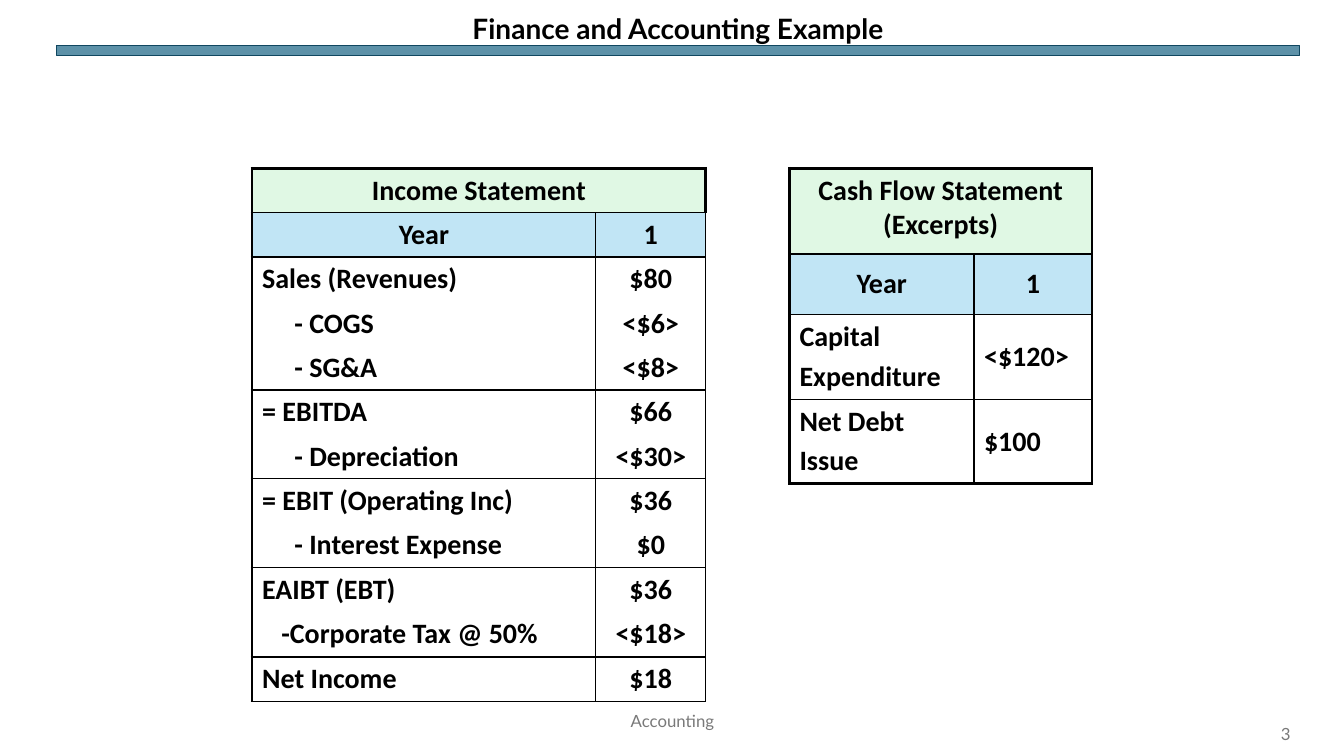
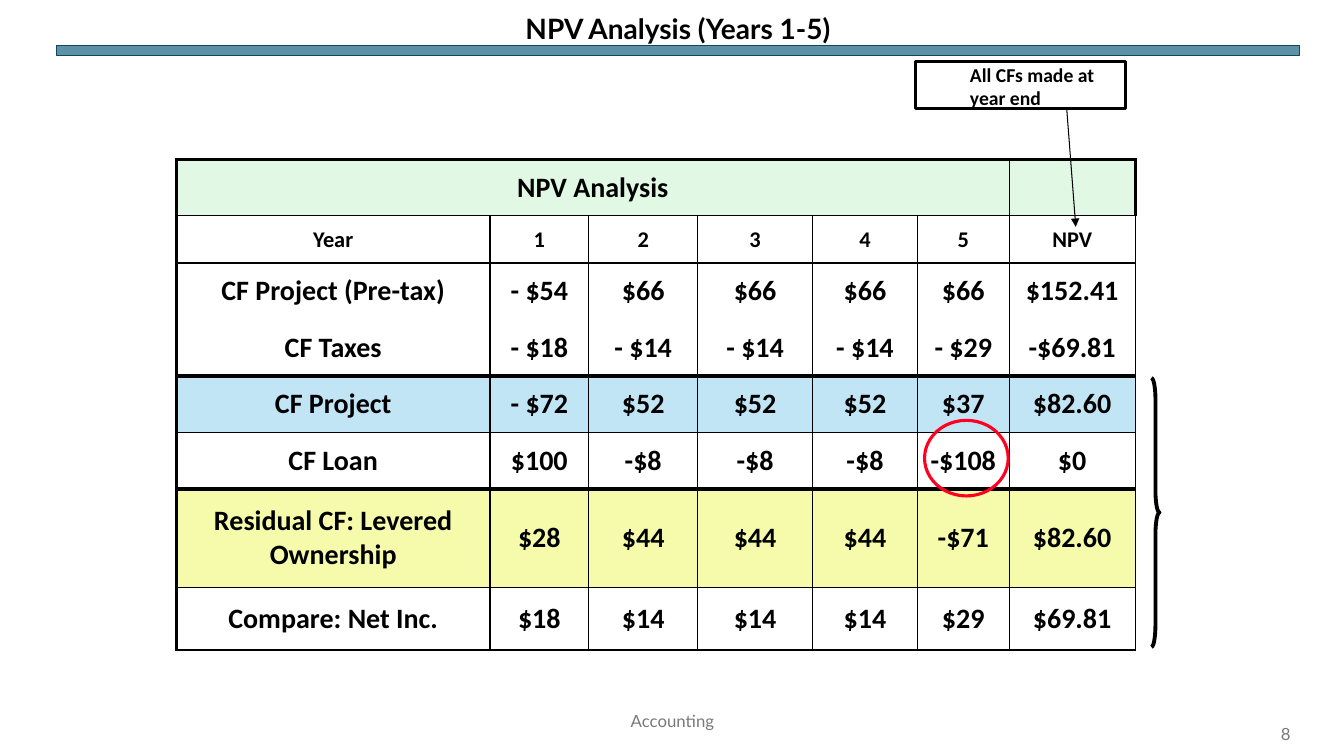
"""Build two slides on accounting statements and NPV analysis."""
from dataclasses import dataclass
from typing import Optional

from pptx import Presentation
from pptx.dml.color import RGBColor
from pptx.enum.shapes import MSO_CONNECTOR, MSO_SHAPE
from pptx.enum.text import MSO_ANCHOR, PP_ALIGN
from pptx.oxml.ns import qn
from pptx.util import Inches, Pt
from lxml.etree import SubElement

BLACK = RGBColor(0x00, 0x00, 0x00)
WHITE = RGBColor(0xFF, 0xFF, 0xFF)
GREY = RGBColor(0x79, 0x79, 0x79)
TEAL = RGBColor(0x15, 0x60, 0x82)
DARK_TEAL = RGBColor(0x10, 0x47, 0x60)
GREEN = RGBColor(0xE0, 0xF8, 0xE4)
BLUE = RGBColor(0xC1, 0xE5, 0xF5)
YELLOW = RGBColor(0xF5, 0xFB, 0xAB)
RED = RGBColor(0xFF, 0x00, 0x21)

THIN, THICK, HEAVY = 1, 2.25, 3
LEFT, CENTER, RIGHT = PP_ALIGN.LEFT, PP_ALIGN.CENTER, PP_ALIGN.RIGHT
NO_MARGINS = dict.fromkeys(
    ("margin_left", "margin_top", "margin_right", "margin_bottom"), 0)

TITLE = {"name": "Lato", "size": Pt(20), "bold": True}
FOOTER = {"name": "Lato", "size": Pt(12), "bold": False}
CELL = {"name": "Calibri", "size": Pt(20), "bold": True}
SMALL_CELL = {**CELL, "size": Pt(16)}
CALLOUT = {**CELL, "size": Pt(14)}


@dataclass
class Row:
    """One table row; rule is the width of the line under it."""
    height: float
    texts: tuple
    fill: RGBColor = WHITE
    rule: float = THIN
    heading: bool = False
    indent: float = 0
    style: Optional[dict] = None
    anchor: MSO_ANCHOR = MSO_ANCHOR.MIDDLE


def set_values(target, values):
    """Set each named attribute of the target."""
    for name, value in values.items():
        setattr(target, name, value)


def write(frame, text, style, align, color=BLACK):
    """Write one paragraph for each line of the text."""
    for index, line in enumerate(text.split("\n")):
        para = frame.add_paragraph() if index else frame.paragraphs[0]
        para.alignment = align
        if index:
            para.space_before = Pt(4)
        span = para.add_run()
        span.text = line
        set_values(span.font, style)
        span.font.color.rgb = color


def add_text(page, place, text, style, align, color=BLACK, **frame_values):
    """Add a wrapping text box."""
    box = page.shapes.add_textbox(*map(Inches, place))
    set_values(box.text_frame, {"word_wrap": True, **frame_values})
    write(box.text_frame, text, style, align, color)
    return box


def add_outline(page, kind, place, color, width):
    """Add an unfilled preset shape."""
    shape = page.shapes.add_shape(kind, *map(Inches, place))
    shape.shadow.inherit = False
    shape.fill.background()
    shape.line.color.rgb = color
    shape.line.width = Pt(width)
    return shape


def add_arrow(page, start, end):
    """Add a thin straight arrow."""
    arrow = page.shapes.add_connector(
        MSO_CONNECTOR.STRAIGHT, *map(Inches, start + end))
    arrow.line.color.rgb = BLACK
    arrow.line.width = Pt(0.75)
    SubElement(arrow.line._get_or_add_ln(), qn("a:tailEnd"), type="triangle")
    SubElement(arrow._element.spPr, qn("a:effectLst"))


def add_frame(deck, title, number):
    """Add a page with its title, band, footer and number."""
    page = deck.slides.add_slide(deck.slide_layouts[6])
    band = add_outline(page, MSO_SHAPE.RECTANGLE, (0.56, 0.45, 12.33, 0.1),
                       DARK_TEAL, 0)
    band.fill.solid()
    band.fill.fore_color.rgb = TEAL
    color = band._element.spPr.find(qn("a:solidFill"))[0]
    SubElement(color, qn("a:alpha"), val="69000")
    heading = add_text(page, (0.56, 0.05, 12.33, 0.4), title, TITLE, CENTER,
                       vertical_anchor=MSO_ANCHOR.BOTTOM, **NO_MARGINS)
    heading.text_frame.paragraphs[0].line_spacing = 0.9
    for place, text, align in (((4.42, 6.95, 4.5, 0.4), "Accounting", CENTER),
                               ((12.23, 7.08, 0.67, 0.4), number, RIGHT)):
        add_text(page, place, text, FOOTER, align, GREY,
                 vertical_anchor=MSO_ANCHOR.MIDDLE)
    return page


def set_borders(cell, widths):
    """Draw the left, right, top and bottom lines; zero means none."""
    properties = cell._tc.get_or_add_tcPr()
    for index, (side, width) in enumerate(zip("LRTB", widths)):
        line = properties.makeelement(qn(f"a:ln{side}"), {"w": str(Pt(width))})
        properties.insert(index, line)
        if width:
            fill = SubElement(line, qn("a:solidFill"))
            SubElement(fill, qn("a:srgbClr"), val=str(BLACK))
        else:
            SubElement(line, qn("a:noFill"))


def add_grid(page, left, top, columns, rows, header_span, aligns, right=THIN):
    """Add a ruled table whose first row is a merged header."""
    size = (sum(columns), sum(row.height for row in rows))
    table = page.shapes.add_table(
        len(rows), len(columns), *map(Inches, (left, top, *size))).table
    table.first_row = table.horz_banding = False
    for column, width in zip(table.columns, columns):
        column.width = Inches(width)
    last = len(columns) - 1
    for y, row in enumerate(rows):
        table.rows[y].height = Inches(row.height)
        above = rows[y - 1].rule if y else THICK
        outer_right = right if y else THICK
        for x in range(len(columns)):
            cell = table.cell(y, x)
            cell.fill.solid()
            cell.fill.fore_color.rgb = row.fill
            cell.vertical_anchor = row.anchor
            closes = x == last or (not y and x + header_span > last)
            set_borders(cell, (THIN if x else THICK,
                               outer_right if closes else THIN,
                               above, row.rule))
            if x < len(row.texts):
                write(cell.text_frame, row.texts[x], row.style or CELL,
                      CENTER if row.heading else aligns[x])
        table.cell(y, 0).margin_left = Inches(0.1 + row.indent)
    table.cell(0, 0).merge(table.cell(0, header_span - 1))


def add_statements(deck):
    """Add the page with the income and cash flow statements."""
    page = add_frame(deck, "Finance and Accounting Example", "3")
    height, deep = 0.44, 0.32
    income = [
        Row(height, ("Income Statement",), GREEN, heading=True),
        Row(height, ("Year", "1"), BLUE, heading=True),
        Row(height, ("Sales (Revenues)", "$80"), rule=0),
        Row(height, ("- COGS", "<$6>"), rule=0, indent=deep),
        Row(height, ("- SG&A", "<$8>"), indent=deep),
        Row(height, ("= EBITDA", "$66"), rule=0),
        Row(height, ("- Depreciation", "<$30>"), indent=deep),
        Row(height, ("= EBIT (Operating Inc)", "$36"), rule=0),
        Row(height, ("- Interest Expense", "$0"), indent=deep),
        Row(height, ("EAIBT (EBT)", "$36"), rule=0),
        Row(0.45, ("-Corporate Tax @ 50%", "<$18>"), indent=0.19),
        Row(height, ("Net Income", "$18")),
    ]
    add_grid(page, 2.5, 1.67, (3.41, 1.09), income, 2, (LEFT, CENTER))
    cash_flow = [
        Row(0.85, ("Cash Flow Statement (Excerpts)",), GREEN, heading=True,
            anchor=MSO_ANCHOR.TOP),
        Row(0.6, ("Year", "1"), BLUE, heading=True),
        Row(0.84, ("Capital\nExpenditure", "<$120>")),
        Row(0.84, ("Net Debt\nIssue", "$100"), rule=THICK),
    ]
    add_grid(page, 7.83, 1.67, (1.83, 1.17), cash_flow, 2, (LEFT, LEFT), THICK)


def add_npv(deck):
    """Add the page with the NPV table and its marks."""
    page = add_frame(deck, "NPV Analysis (Years 1-5)", "8")
    height = 0.56
    rows = [
        Row(height, ("NPV Analysis",), GREEN),
        Row(0.47, ("Year", "1", "2", "3", "4", "5", "NPV"), style=SMALL_CELL),
        Row(height, ("CF Project (Pre-tax)", "- $54", "$66", "$66", "$66",
                     "$66", "$152.41"), rule=0),
        Row(height, ("CF Taxes", "- $18", "- $14", "- $14", "- $14", "- $29",
                     "-$69.81"), rule=HEAVY),
        Row(height, ("CF Project", "- $72", "$52", "$52", "$52", "$37",
                     "$82.60"), BLUE),
        Row(height, ("CF Loan", "$100", "-$8", "-$8", "-$8", "-$108", "$0"),
            rule=HEAVY),
        Row(0.98, ("Residual CF: Levered Ownership", "$28", "$44", "$44",
                   "$44", "-$71", "$82.60"), YELLOW),
        Row(0.62, ("Compare: Net Inc.", "$18", "$14", "$14", "$14", "$29",
                   "$69.81"), rule=THICK),
    ]
    columns = (3.11, 0.98, 1.08, 1.14, 1.04, 0.91, 1.25)
    add_grid(page, 1.75, 1.58, columns, rows, 6, [CENTER] * len(columns))
    add_outline(page, MSO_SHAPE.OVAL, (9.17, 4.17, 0.83, 0.75), RED, THICK)
    callout = add_outline(page, MSO_SHAPE.RECTANGLE, (9.08, 0.61, 2.08, 0.47),
                          BLACK, THICK)
    set_values(callout.text_frame, {
        "word_wrap": True, "vertical_anchor": MSO_ANCHOR.TOP,
        "margin_left": Inches(0.54), "margin_right": Inches(0.18),
        "margin_top": Inches(0.01), "margin_bottom": 0})
    write(callout.text_frame, "All CFs made at year end", CALLOUT, LEFT)
    add_arrow(page, (10.58, 1.08), (10.67, 2.25))
    brace = add_outline(page, MSO_SHAPE.RIGHT_BRACE, (11.42, 3.75, 0.08, 2.67),
                        BLACK, 2.75)
    brace.adjustments[0] = 2.67


def main():
    """Build and save the deck."""
    deck = Presentation()
    deck.slide_width, deck.slide_height = Inches(13.33), Inches(7.5)
    add_statements(deck)
    add_npv(deck)
    deck.save("out.pptx")


if __name__ == "__main__":
    main()
